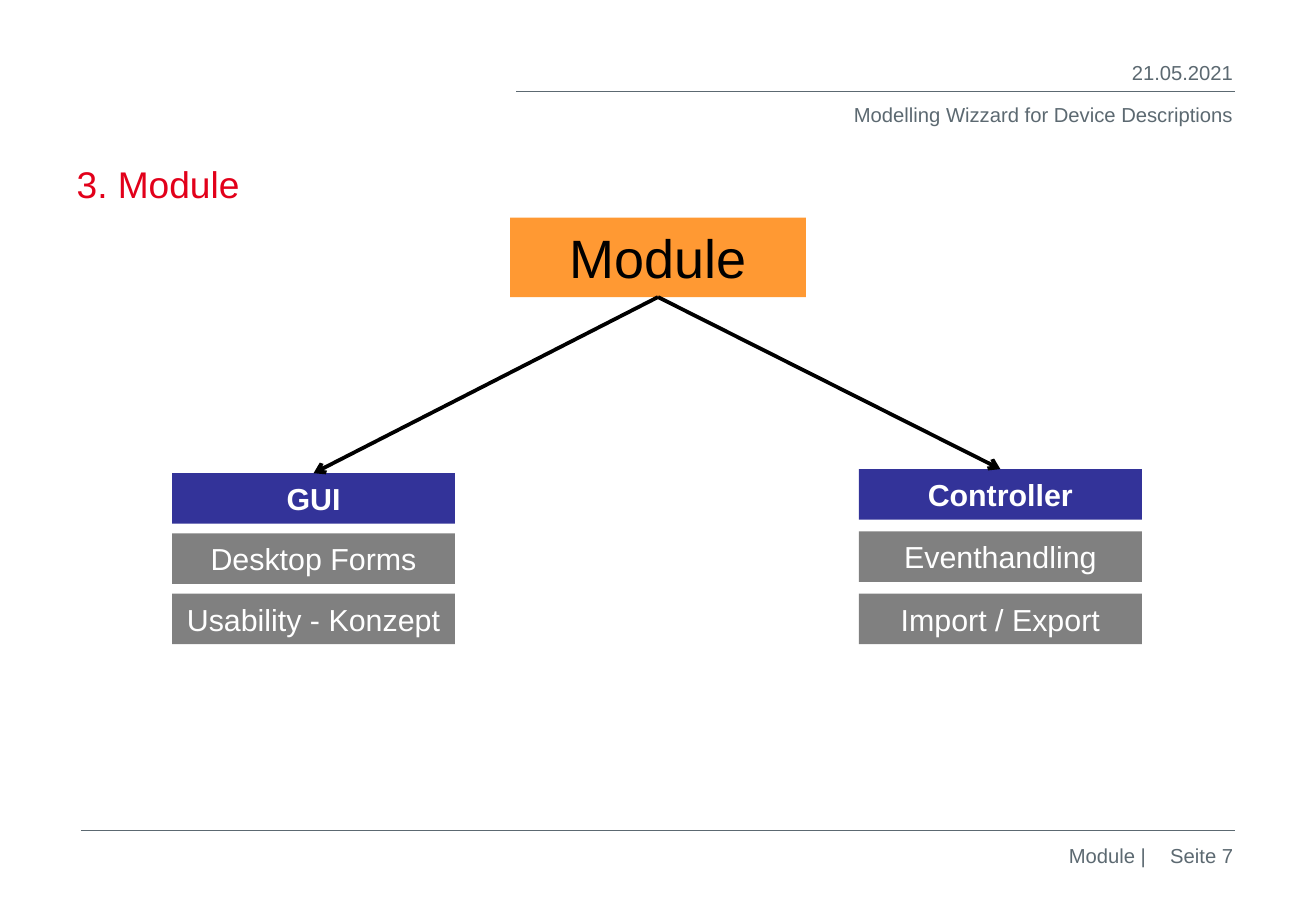
from dataclasses import dataclass

from lxml import etree
from pptx import Presentation
from pptx import util as u
from pptx.dml.color import RGBColor
from pptx.enum import shapes, text
from pptx.oxml import ns


@dataclass(frozen=True)
class Theme:
    font: str = "Arial"
    slate: str = "5C6971"
    red: str = "E2001A"
    orange: str = "FF9933"
    navy: str = "333399"
    grey: str = "808080"
    black: str = "000000"
    white: str = "FFFFFF"
    small: float = 12
    body: float = 18
    title: float = 22
    large: float = 32
    hairline: float = 0.25
    arrow: float = 2.25


@dataclass(frozen=True)
class Area:
    column: float
    row: float
    columns: float
    rows: float


@dataclass(frozen=True)
class Label:
    words: str
    area: Area
    size: float
    color: str
    align: text.PP_ALIGN = text.PP_ALIGN.RIGHT
    anchor: text.MSO_ANCHOR = text.MSO_ANCHOR.TOP


@dataclass(frozen=True)
class Branch:
    heading: str
    items: tuple[str, ...]
    column: float
    pitch: float


@dataclass(frozen=True)
class Rule:
    start: float
    end: float
    row: float


THEME = Theme()
COLUMNS, ROWS = 130, 90
WIDTH, HEIGHT = u.Inches(10.83), u.Inches(7.5)
BRANCH_COLUMNS, BRANCH_ROWS, LAST_ROW = 27.95, 5, 58.65

RULES = (Rule(51, 122, 9), Rule(8, 122, 82))
LABELS = (
    Label("Modelling Wizzard for Device Descriptions", Area(83, 9.5, 40, 6), THEME.small, THEME.slate),
    Label("21.05.2021", Area(97, 5.4, 26, 3.7), THEME.small, THEME.slate),
    Label("Seite 7", Area(111, 82.7, 12, 6), THEME.small, THEME.slate),
    Label("Module |", Area(38.2, 82.7, 76.2, 3.6), THEME.small, THEME.slate),
    Label("3. Module", Area(6.4, 9.9, 112, 11), THEME.title, THEME.red,
          text.PP_ALIGN.LEFT, text.MSO_ANCHOR.BOTTOM),
)
BRANCHES = (
    Branch("GUI", ("Desktop Forms", "Usability - Konzept"), 17, 5.95),
    Branch("Controller", ("Eventhandling", "Import / Export"), 84.85, 6.15),
)


def across(columns: float) -> int:
    return round(WIDTH * columns / COLUMNS)


def down(rows: float) -> int:
    return round(HEIGHT * rows / ROWS)


def place(area: Area) -> tuple[int, int, int, int]:
    return across(area.column), down(area.row), across(area.columns), down(area.rows)


def write(box, words: str, *, size: float, color: str, bold: bool = False,
          align=text.PP_ALIGN.CENTER, anchor=text.MSO_ANCHOR.MIDDLE, wrap: bool = True) -> None:
    frame = box.text_frame
    frame.word_wrap = wrap
    frame.vertical_anchor = anchor
    para = frame.paragraphs[0]
    para.alignment = align
    span = para.add_run()
    span.text = words
    span.font.name = THEME.font
    span.font.size = u.Pt(size)
    span.font.bold = bold
    span.font.color.rgb = RGBColor.from_string(color)


def add_block(page, words: str, area: Area, fill: str, **style):
    box = page.shapes.add_shape(shapes.MSO_SHAPE.RECTANGLE, *place(area))
    box.shadow.inherit = False
    box.fill.solid()
    box.fill.fore_color.rgb = RGBColor.from_string(fill)
    box.line.fill.background()
    write(box, words, **style)
    box.text_frame.margin_left = box.text_frame.margin_right = 0
    return box


def add_label(page, label: Label) -> None:
    box = page.shapes.add_textbox(*place(label.area))
    write(box, label.words, size=label.size, color=label.color,
          align=label.align, anchor=label.anchor)


def add_line(page, color: str, width: float, start=(0, 0), end=(0, 0)):
    line = page.shapes.add_connector(shapes.MSO_CONNECTOR.STRAIGHT, *start, *end)
    line.line.color.rgb = RGBColor.from_string(color)
    line.line.width = u.Pt(width)
    etree.SubElement(line._element.spPr, ns.qn("a:effectLst"))
    return line


def add_arrow(page, source, target) -> None:
    arrow = add_line(page, THEME.black, THEME.arrow)
    arrow.begin_connect(source, 2)
    arrow.end_connect(target, 0)
    outline = arrow.line._get_or_add_ln()
    etree.SubElement(outline, ns.qn("a:tailEnd"), type="arrow")


def add_branch(page, branch: Branch, source) -> None:
    first_row = LAST_ROW - branch.pitch * len(branch.items)
    for index, words in enumerate((branch.heading, *branch.items)):
        heading = index == 0
        area = Area(branch.column, first_row + index * branch.pitch, BRANCH_COLUMNS, BRANCH_ROWS)
        box = add_block(page, words, area, THEME.navy if heading else THEME.grey,
                        size=THEME.body, color=THEME.white, bold=heading, wrap=False)
        if heading:
            add_arrow(page, source, box)


def main() -> None:
    deck = Presentation()
    deck.slide_width, deck.slide_height = WIDTH, HEIGHT
    page = deck.slides.add_slide(deck.slide_layouts[6])
    for rule in RULES:
        add_line(page, THEME.slate, THEME.hairline,
                 (across(rule.start), down(rule.row)), (across(rule.end), down(rule.row)))
    for label in LABELS:
        add_label(page, label)
    module = add_block(page, "Module", Area(50.4, 21.5, 29.2, 7.85), THEME.orange,
                       size=THEME.large, color=THEME.black)
    for branch in BRANCHES:
        add_branch(page, branch, module)
    deck.save("out.pptx")


if __name__ == "__main__":
    main()
